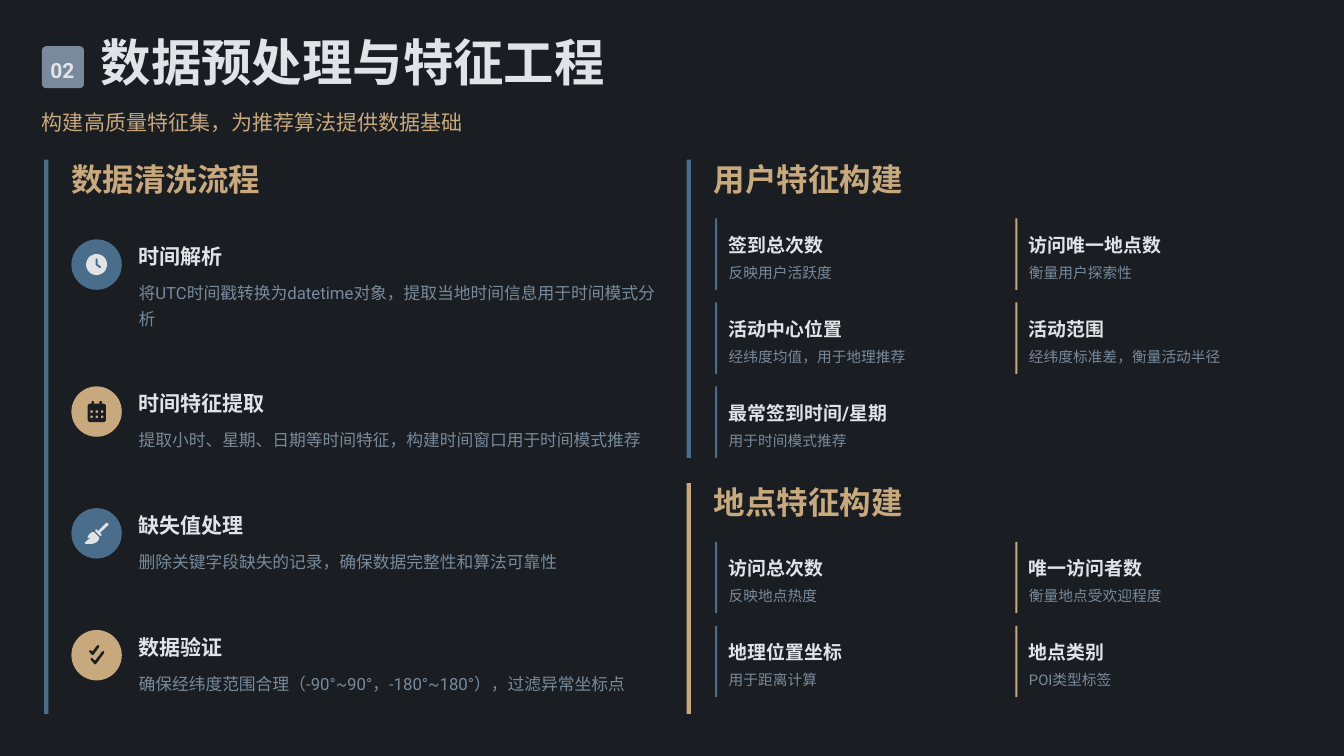
from dataclasses import dataclass
from math import cos, pi, sin

from pptx import Presentation
from pptx.dml.color import RGBColor as RGB
from pptx.enum.lang import MSO_LANGUAGE_ID as LANG
from pptx.enum.shapes import MSO_SHAPE as SHAPE
from pptx.enum.text import MSO_ANCHOR as ANCHOR
from pptx.util import Pt

PX = 12700  # EMU per px on a 1280 x 720 slide
ICON_UNIT = PX // 10  # icon outlines use a 480 x 480 grid


@dataclass(frozen=True)
class Style:
    size: int
    color: str
    bold: bool = False
    spacing: float = 1.0


@dataclass(frozen=True)
class Theme:
    font: str = "Roboto"
    dark: str = "1A1D21"
    light: str = "E1E3E6"
    gray: str = "788A9C"
    blue: str = "4A6D8C"
    gold: str = "C8A97E"
    title: Style = Style(48, light, True, 0.8)
    badge: Style = Style(20, light, True, 1.2)
    subtitle: Style = Style(20, gold, False, 1.2)
    heading: Style = Style(30, gold, True)
    step: Style = Style(20, light, True, 1.2)
    step_note: Style = Style(16, gray, False, 1.3)
    card: Style = Style(18, light, True, 1.3)
    card_note: Style = Style(14, gray, False, 1.2)


T = Theme()


def rounded(x, y, w, h, r):
    """Closed outline of a rounded box; a circle when r is half its side."""
    corners = [(x + w - r, y + h - r), (x + r, y + h - r), (x + r, y + r), (x + w - r, y + r)]
    return [
        (cx + r * cos(a), cy + r * sin(a))
        for quarter, (cx, cy) in enumerate(corners)
        for a in [(quarter + i / 8) * pi / 2 for i in range(9)]
    ]


CLOCK = [
    rounded(140, 140, 200, 200, 100),
    [(230, 190), (230, 240), (235, 249), (270, 274), (280, 275), (284, 268),
     (282, 258), (250, 234), (250, 190), (247, 184), (240, 181), (233, 184)],
]
CALENDAR = [
    rounded(155, 165, 174, 175, 25),
    *[rounded(x, 140, 22, 25, 8) for x in (192, 268)],
    *[rounded(x, y, 24, 24, 6) for y in (228, 278) for x in (180, 230, 280)],
]
BRUSH = [
    [(350, 163), (355, 152), (348, 143), (338, 140), (330, 143), (256, 218), (243, 205),
     (236, 201), (230, 207), (228, 220), (270, 262), (280, 264), (289, 258), (286, 250), (272, 235)],
    [(264, 277), (213, 227), (190, 232), (170, 249), (157, 270), (155, 288), (177, 279),
     (180, 283), (131, 325), (127, 332), (134, 339), (205, 339), (242, 324), (260, 302)],
]
CHECKS = [
    [(264, 163), (264, 149), (254, 144), (244, 149), (200, 206), (185, 193), (172, 194),
     (169, 206), (194, 235), (204, 239), (212, 234)],
    [(312, 219), (312, 205), (304, 200), (293, 206), (226, 293), (198, 268), (186, 268),
     (183, 281), (219, 323), (228, 328), (236, 322)],
]

STEPS = [  # icon, disc colour, icon colour, title, note, note width, note height
    (CLOCK, T.blue, T.light, "时间解析",
     "将UTC时间戳转换为datetime对象，提取当地时间信息用于时间模式分析", 504, 48),
    (CALENDAR, T.gold, T.dark, "时间特征提取",
     "提取小时、星期、日期等时间特征，构建时间窗口用于时间模式推荐", 488, 24),
    (BRUSH, T.blue, T.light, "缺失值处理",
     "删除关键字段缺失的记录，确保数据完整性和算法可靠性", 408, 24),
    (CHECKS, T.gold, T.dark, "数据验证",
     "确保经纬度范围合理（-90°~90°，-180°~180°），过滤异常坐标点", 477, 24),
]
USER_FEATURES = [
    ("签到总次数", "反映用户活跃度"),
    ("访问唯一地点数", "衡量用户探索性"),
    ("活动中心位置", "经纬度均值，用于地理推荐"),
    ("活动范围", "经纬度标准差，衡量活动半径"),
    ("最常签到时间/星期", "用于时间模式推荐"),
]
PLACE_FEATURES = [
    ("访问总次数", "反映地点热度"),
    ("唯一访问者数", "衡量地点受欢迎程度"),
    ("地理位置坐标", "用于距离计算"),
    ("地点类别", "POI类型标签"),
]


def paint(sp, color):
    sp.shadow.inherit = False
    sp.fill.solid()
    sp.fill.fore_color.rgb = RGB.from_string(color)
    sp.line.fill.background()


def add_block(s, kind, x, y, w, h, color):
    sp = s.shapes.add_shape(kind, x * PX, y * PX, w * PX, h * PX)
    paint(sp, color)
    return sp


def add_text(s, x, y, w, h, text, style):
    tf = s.shapes.add_textbox(x * PX, y * PX, w * PX, h * PX).text_frame
    frame = dict(word_wrap=True, vertical_anchor=ANCHOR.MIDDLE,
                 margin_left=0, margin_right=0, margin_top=0, margin_bottom=0)
    for name, value in frame.items():
        setattr(tf, name, value)
    p = tf.paragraphs[0]
    p.line_spacing = style.spacing
    r = p.add_run()
    r.text = text
    font = dict(name=T.font, size=Pt(style.size), bold=style.bold,
                language_id=LANG.SIMPLIFIED_CHINESE)
    for name, value in font.items():
        setattr(r.font, name, value)
    r.font.color.rgb = RGB.from_string(style.color)


def add_icon(s, x, y, outlines, color):
    """Draw all outlines as one shape, so that inner ones become holes."""
    first, *others = outlines
    fb = s.shapes.build_freeform(*first[0], scale=ICON_UNIT)
    fb.add_line_segments(first[1:])
    for outline in others:
        fb.move_to(*outline[0])
        fb.add_line_segments(outline[1:])
    paint(fb.convert_to_shape(x * PX, y * PX), color)


def add_header(s, x, y, w):
    badge = add_block(s, SHAPE.ROUNDED_RECTANGLE, x, y + 4, 40, 40, T.gray)
    badge.adjustments[0] = 0.1
    add_text(s, x + 8, y + 10, 34, 28, "02", T.badge)
    add_text(s, x + 56, y, 504, 48, "数据预处理与特征工程", T.title)
    add_text(s, x, y + 60, w, 28, "构建高质量特征集，为推荐算法提供数据基础", T.subtitle)


def add_panel(s, x, y, w, h, heading, color):
    add_block(s, SHAPE.RECTANGLE, x, y, 4, h, color)
    add_text(s, x + 26, y, w - 26, 36, heading, T.heading)


def add_cleaning_panel(s, x, y, w, h):
    add_panel(s, x, y, w, h, "数据清洗流程", T.blue)
    left, top = x + 26, y + 76
    for icon, disc, ink, title, note, note_w, note_h in STEPS:
        add_block(s, SHAPE.OVAL, left, top, 48, 48, disc)
        add_icon(s, left, top, icon, ink)
        add_text(s, left + 64, top, note_w + 2, 28, title, T.step)
        add_text(s, left + 64, top + 36, note_w, note_h, note, T.step_note)
        top += 36 + note_h + 56


def add_feature_panel(s, x, y, w, h, heading, color, features):
    add_panel(s, x, y, w, h, heading, color)
    for i, (title, note) in enumerate(features):
        row, col = divmod(i, 2)
        left, top = x + 27 + col * 286, y + 56 + row * 80
        alone = col == 0 and i == len(features) - 1
        text_w = 555 if alone else 269
        add_block(s, SHAPE.RECTANGLE, left, top, 2, 68, (T.blue, T.gold)[col])
        add_text(s, left + 13, top + 8, text_w, 28, title, T.card)
        add_text(s, left + 13, top + 40, text_w - 2, 20, note, T.card_note)


def main():
    prs = Presentation()
    prs.slide_width, prs.slide_height = 1280 * PX, 720 * PX
    s = prs.slides.add_slide(prs.slide_layouts[6])
    s.background.fill.solid()
    s.background.fill.fore_color.rgb = RGB.from_string(T.dark)
    add_header(s, 40, 40, 1210)
    add_cleaning_panel(s, 42, 152, 601, 528)
    add_feature_panel(s, 654, 152, 601, 284, "用户特征构建", T.blue, USER_FEATURES)
    add_feature_panel(s, 654, 460, 601, 220, "地点特征构建", T.gold, PLACE_FEATURES)
    prs.save("out.pptx")


if __name__ == "__main__":
    main()
